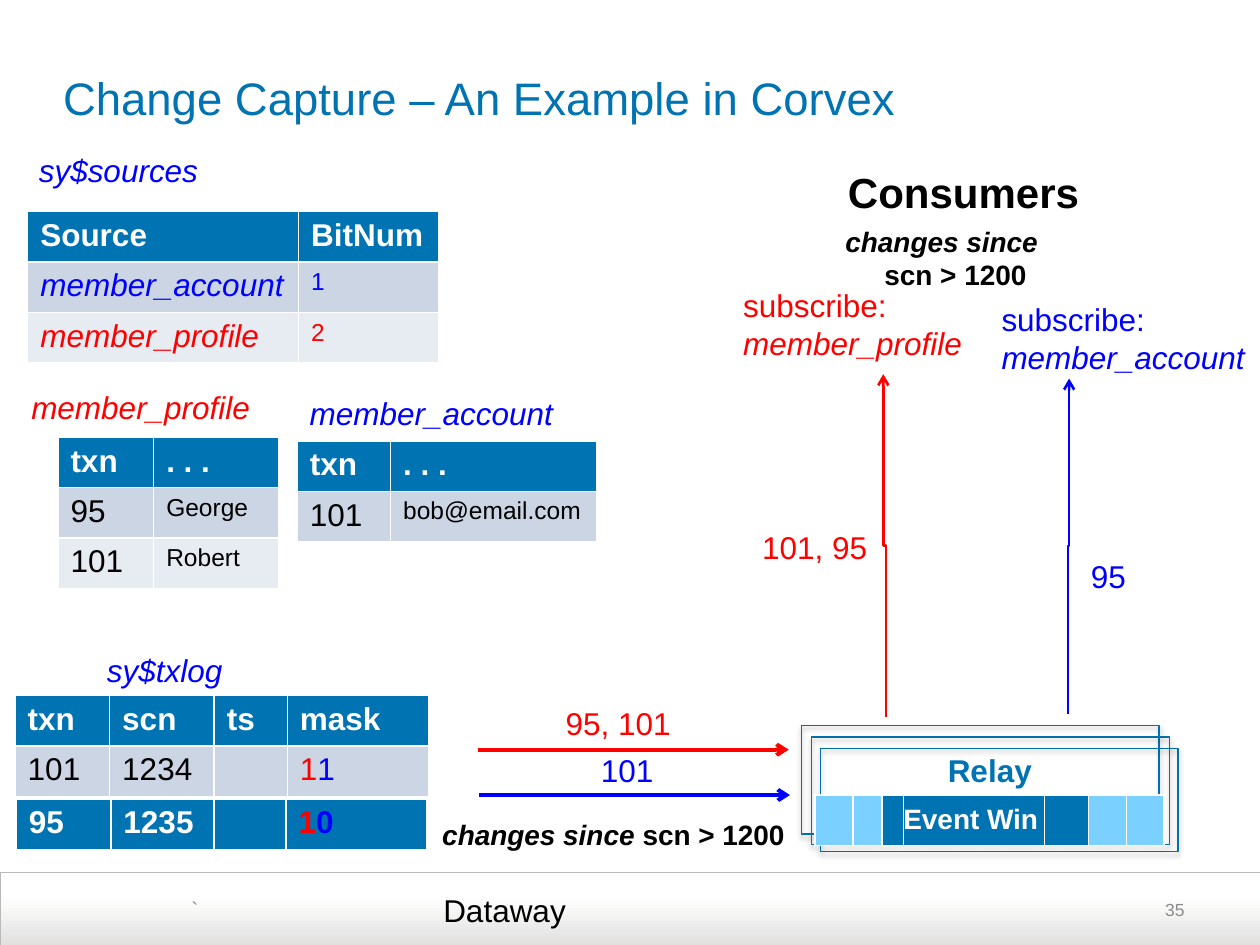
from lxml.etree import SubElement
from pptx import Presentation
from pptx.dml.color import RGBColor
from pptx.enum.shapes import MSO_CONNECTOR as CONNECTOR, MSO_SHAPE as SHAPE
from pptx.enum.text import MSO_ANCHOR as ANCHOR, PP_ALIGN as ALIGN
from pptx.oxml.ns import qn
from pptx.util import Pt

PX = 9144  # 100 px to the inch
COLORS = {
    "white": "FFFFFF", "black": "000000", "red": "FF0000", "blue": "0000FF",
    "brand": "0073B2", "band": "CCD5E4", "light": "E7EBF2", "sky": "7AD0FF",
    "outline": "0070AE", "footer": "E1E0DF", "footer line": "B9B9B9",
    "mark": "88898B", "number": "8C8C8C",
}
RGB = {name: RGBColor.from_string(value) for name, value in COLORS.items()}


def write_runs(paragraph, runs):
    """Each run is (text, size, colour, style); style holds b and/or i."""
    for text, size, color, style in runs:
        run = paragraph.add_run()
        run.text = text
        formats = {"name": "Arial", "size": Pt(size),
                   "bold": "b" in style, "italic": "i" in style}
        for key, value in formats.items():
            setattr(run.font, key, value)
        run.font.color.rgb = RGB[color]


def add_grid(left, top, widths, row_height, rows):
    """A cell is a plain string in its row's style, or a list of runs."""
    size = sum(widths), row_height * len(rows)
    frame = slide.shapes.add_table(len(rows), len(widths),
                                   *(PX * n for n in (left, top, *size)))
    table = frame.table
    table.horz_banding = False
    for column, width in zip(table.columns, widths):
        column.width = PX * width
    for r, row in enumerate(rows):
        table.rows[r].height = PX * row_height
        for c, content in enumerate(row):
            cell = table.cell(r, c)
            cell.fill.solid()
            cell.fill.fore_color.rgb = RGB[("brand", "band", "light")[r]]
            if isinstance(content, str):
                default = (18, "black", "") if r else (18, "white", "b")
                content = [(content, *default)] if content else []
            write_runs(cell.text_frame.paragraphs[0], content)
    return table


presentation = Presentation()
presentation.slide_width, presentation.slide_height = 1000 * PX, 750 * PX
slide = presentation.slides.add_slide(presentation.slide_layouts[5])

# Footer band
footer = slide.shapes.add_shape(SHAPE.ROUND_2_SAME_RECTANGLE,
                                0, 692 * PX, 1000 * PX, 59 * PX)
footer.adjustments[0] = 0
footer.shadow.inherit = False
footer.fill.gradient()
footer.fill.gradient_angle = 90
for stop, color, position in zip(footer.fill.gradient_stops,
                                 ("footer", "white"), (0, 0.68)):
    stop.color.rgb = RGB[color]
    stop.position = position
footer.line.color.rgb = RGB["footer line"]
footer.line.width = Pt(0.25)

# Title
title = slide.shapes.title
for key, value in {"left": 50, "top": 22, "width": 900, "height": 110}.items():
    setattr(title, key, value * PX)
title_format = {"margin_left": 0, "margin_right": 0,
                "vertical_anchor": ANCHOR.MIDDLE, "word_wrap": True}
for key, value in title_format.items():
    setattr(title.text_frame, key, value)
title_paragraph = title.text_frame.paragraphs[0]
title_paragraph.alignment = ALIGN.LEFT
write_runs(title_paragraph,
           [("Change Capture – An Example in Corvex", 26, "brand", "")])

# Tables
add_grid(46, 347, (76, 99), 40, [
    ("txn", ". . ."),
    ("95", [("George", 14, "black", "")]),
    ("101", [("Robert", 14, "black", "")]),
])
add_grid(236, 350, (74, 164), 40, [
    ("txn", ". . ."),
    ("101", [("bob@email.com", 14, "black", "")]),
])
add_grid(22, 168, (215, 111), 40, [
    ("Source", "BitNum"),
    ([("member_account", 18, "blue", "i")], [("1", 14, "blue", "")]),
    ([("member_profile", 18, "red", "i")], [("2", 14, "red", "")]),
])
add_grid(12, 552, (75, 83, 58, 112), 40, [
    ("txn", "scn", "ts", "mask"),
    ("101", "1234", "", [("1", 18, "red", ""), ("1", 18, "blue", "")]),
])
add_grid(13, 634, (75, 82, 57, 112), 40, [
    ("95", "1235", "", [("1", 18, "red", "b"), ("0", 18, "blue", "b")]),
])

# Arrows: kind, begin, end, colour, width, arrow end, rotation
arrows = [
    (CONNECTOR.STRAIGHT, (379, 595), (626, 595), "red", 2.25, "tailEnd", 0),
    (CONNECTOR.STRAIGHT, (380, 631), (627, 631), "blue", 2.25, "tailEnd", 0),
    (CONNECTOR.ELBOW, (838, 432), (566, 434), "red", 1.5, "headEnd", 270),
    (CONNECTOR.ELBOW, (715, 433), (981, 434), "blue", 1.5, "headEnd", 90),
]
for kind, begin, end, color, width, arrow_end, rotation in arrows:
    arrow = slide.shapes.add_connector(kind, *(PX * n for n in begin + end))
    arrow.line.color.rgb = RGB[color]
    arrow.line.width = Pt(width)
    properties = arrow.element.spPr
    SubElement(properties.find(qn("a:ln")), qn("a:" + arrow_end), type="arrow")
    SubElement(properties, qn("a:effectLst"))
    if rotation:
        properties.find(qn("a:xfrm")).set("rot", str(rotation * 60000))

# Stacked relay boxes
for left, top, height in ((636, 576, 86), (651, 594, 82), (644, 585, 85)):
    box = slide.shapes.add_shape(SHAPE.RECTANGLE, left * PX, top * PX,
                                 284 * PX, height * PX)
    box.fill.background()
    box.line.color.rgb = RGB["outline"]
    box.line.width = Pt(0.75)
    effects = SubElement(box.element.spPr, qn("a:effectLst"))
    shadow = SubElement(effects, qn("a:outerShdw"), blurRad=str(Pt(3.1)),
                        dist=str(Pt(1.8)), dir="5400000", rotWithShape="0")
    shadow_color = SubElement(shadow, qn("a:srgbClr"), val=COLORS["black"])
    SubElement(shadow_color, qn("a:alpha"), val="35000")

# Event window; without margins its narrow cells keep their widths
event_window = add_grid(647, 631, (30, 23, 17, 112, 35, 30, 30), 40, [
    ("", "", "", [("Event Win", 16, "white", "b")], "", "", ""),
])
for column in (0, 1, 5, 6):
    event_window.cell(0, column).fill.fore_color.rgb = RGB["sky"]
for cell in event_window.iter_cells():
    cell.vertical_anchor = ANCHOR.MIDDLE
    for side in ("left", "top", "right", "bottom"):
        setattr(cell, "margin_" + side, 0)

# Labels: position, paragraphs of runs, frame and paragraph formats
flush = {"margin_left": 0, "word_wrap": True}
labels = [
    ((15, 303, 202, 40), [[("member_profile", 18, "red", "i")]], {}, {}),
    ((236, 308, 221, 40), [[("member_account", 18, "blue", "i")]], {}, {}),
    ((21, 115, 154, 40), [[("sy$sources", 18, "blue", "i")]], {}, {}),
    ((75, 512, 117, 40), [[("sy$txlog", 18, "blue", "i")]], {}, {}),
    ((439, 554, 104, 40), [[("95, 101", 18, "red", "")]], {}, {}),
    ((467, 591, 62, 40), [[("101", 18, "blue", "")]], {}, {}),
    ((595, 414, 104, 40), [[("101, 95", 18, "red", "")]], {}, {}),
    ((856, 437, 48, 40), [[("95", 18, "blue", "")]], {}, {}),
    ((785, 233, 221, 71), [[("subscribe:", 18, "blue", "")],
                           [("member_account", 18, "blue", "i")]], {}, {}),
    ((580, 222, 211, 71), [[("subscribe:", 18, "red", "")],
                           [("member_profile", 18, "red", "i")]],
     {"word_wrap": True}, {}),
    ((673, 127, 231, 54), [[("Consumers", 24, "black", "b")]], flush, {}),
    ((671, 173, 180, 62), [[("changes since ", 16, "black", "bi"),
                            ("scn > 1200", 16, "black", "b")]], flush,
     {"marL": 31, "indent": -31}),
    ((351, 644, 302, 42), [[("changes since ", 16, "black", "bi"),
                            ("scn > 1200", 16, "black", "b")]], flush, {}),
    ((649, 591, 283, 37), [[("Relay", 18, "brand", "b")]], flush,
     {"algn": ALIGN.CENTER}),
    ((342, 702, 317, 40), [[("Dataway", 18, "black", "")]],
     {"word_wrap": True}, {}),
    ((152, 707, 310, 34), [[("`", 12, "mark", "")]], flush, {}),
    ((717, 702, 233, 40), [[("35", 10, "number", "")]],
     {"word_wrap": True, "vertical_anchor": ANCHOR.MIDDLE},
     {"algn": ALIGN.RIGHT}),
]
for position, paragraphs, frame_format, paragraph_format in labels:
    frame = slide.shapes.add_textbox(*(PX * n for n in position)).text_frame
    for key, value in ({"word_wrap": False} | frame_format).items():
        setattr(frame, key, value)
    for index, runs in enumerate(paragraphs):
        paragraph = frame.add_paragraph() if index else frame.paragraphs[0]
        paragraph.alignment = paragraph_format.get("algn", ALIGN.LEFT)
        for key in ("marL", "indent"):
            if key in paragraph_format:
                properties = paragraph._p.get_or_add_pPr()
                properties.set(key, str(paragraph_format[key] * PX))
        write_runs(paragraph, runs)

presentation.save("out.pptx")
